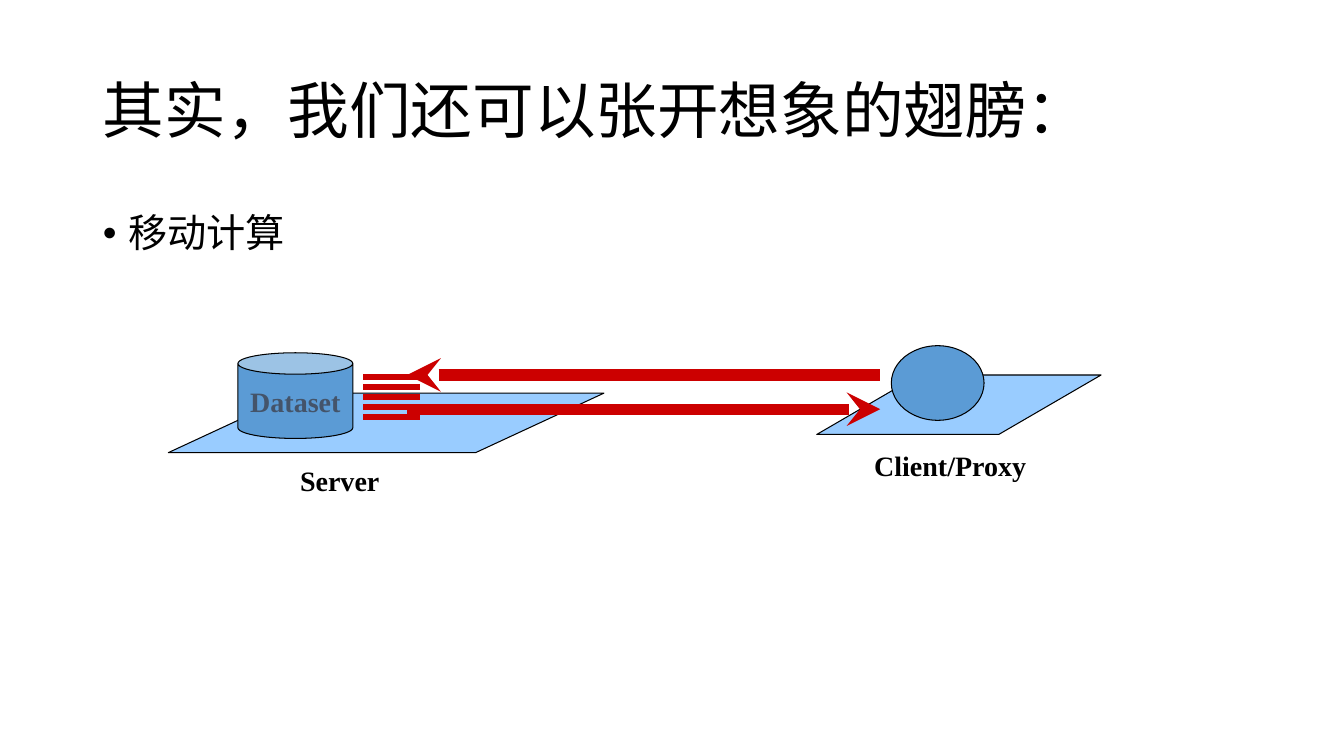
from lxml import etree
from pptx import Presentation
from pptx.dml.color import RGBColor
from pptx.enum.shapes import MSO_CONNECTOR, MSO_SHAPE
from pptx.enum.text import MSO_ANCHOR, PP_ALIGN
from pptx.oxml.ns import qn
from pptx.util import Inches, Pt

LINE = MSO_CONNECTOR.STRAIGHT
CAN, OVAL, PLANE = MSO_SHAPE.CAN, MSO_SHAPE.OVAL, MSO_SHAPE.PARALLELOGRAM
LEFT, CENTER = PP_ALIGN.LEFT, PP_ALIGN.CENTER
TOP, MIDDLE = MSO_ANCHOR.TOP, MSO_ANCHOR.MIDDLE

BLACK = RGBColor(0x00, 0x00, 0x00)
SLATE = RGBColor(0x44, 0x54, 0x6A)
BLUE = RGBColor(0x5B, 0x9B, 0xD5)
SKY = RGBColor(0x99, 0xCC, 0xFF)
RED = RGBColor(0xCC, 0x00, 0x00)


def write(shape, text, size=20, face="Times New Roman", color=BLACK, bold=True,
          align=CENTER, anchor=TOP, wrap=True, space=1.0, hang=0):
    frame = shape.text_frame
    frame.word_wrap = wrap
    frame.vertical_anchor = anchor
    frame.text = text
    para = frame.paragraphs[0]
    para.alignment = align
    para.line_spacing = space
    para.space_before = Pt(0)
    if hang:
        props = para._p.get_or_add_pPr()
        props.set("marL", str(Inches(hang)))
        props.set("indent", str(-Inches(hang)))
    font = para.runs[0].font
    font.name, font.size, font.bold = face, Pt(size), bold
    font.color.rgb = color


class Board:
    def __init__(self, deck):
        self.wide, self.high = deck.slide_width, deck.slide_height
        self.slide = deck.slides.add_slide(deck.slide_layouts[1])
        self.shapes = self.slide.shapes

    def place(self, x, y, w, h):
        return (round(self.wide * x / 100), round(self.high * y / 100),
                round(self.wide * w / 100), round(self.high * h / 100))

    def holder(self, index, box, text, **style):
        item = self.slide.placeholders[index]
        item.left, item.top, item.width, item.height = self.place(*box)
        write(item, text, face="Calibri", bold=False, align=LEFT, space=0.9, **style)

    def solid(self, kind, box, fill, bend=None):
        item = self.shapes.add_shape(kind, *self.place(*box))
        item.shadow.inherit = False
        item.fill.solid()
        item.fill.fore_color.rgb = fill
        item.line.color.rgb = BLACK
        item.line.width = Pt(0.75)
        if bend is not None:
            item.adjustments[0] = bend
        return item

    def label(self, box, text):
        write(self.shapes.add_textbox(*self.place(*box)), text)

    def stroke(self, start, end, y, width, tip=None):
        item = self.shapes.add_connector(LINE, *self.place(start, y, end, y))
        item.line.color.rgb = RED
        item.line.width = Pt(width)
        if tip:
            etree.SubElement(item.line._get_or_add_ln(), qn(tip), type="stealth")
        etree.SubElement(item._element.spPr, qn("a:effectLst"))


def main():
    deck = Presentation()
    deck.slide_width, deck.slide_height = Inches(13.33), Inches(7.5)
    board = Board(deck)
    board.holder(0, (6.9, 5.33, 86.27, 19.33), "其实，我们还可以张开想象的翅膀：",
                 size=44, anchor=MIDDLE)
    board.holder(1, (6.9, 27.6, 86.27, 63.47), "移动计算", size=28, hang=0.25)

    board.solid(PLANE, (60.77, 49.6, 21.16, 7.87), SKY, 1.72)
    board.solid(OVAL, (66.32, 45.73, 6.9, 9.87), BLUE)
    board.label((63.92, 58.67, 13.58, 5.73), "Client/Proxy")

    board.label((20.56, 60.67, 9.45, 5.73), "Server")
    board.solid(PLANE, (12.53, 52, 32.41, 7.87), SKY, 2.155)
    store = board.solid(CAN, (17.7, 46.67, 8.55, 11.33), BLUE, 0.25)
    write(store, "Dataset", color=SLATE, anchor=MIDDLE, wrap=False)

    for row in range(5):
        board.stroke(27.01, 31.28, 49.87 + row * 1.33, 4)
    for y, tip in ((49.6, "a:headEnd"), (54.13, "a:tailEnd")):
        board.stroke(30.31, 65.49, y, 8, tip)
    deck.save("out.pptx")


if __name__ == "__main__":
    main()
